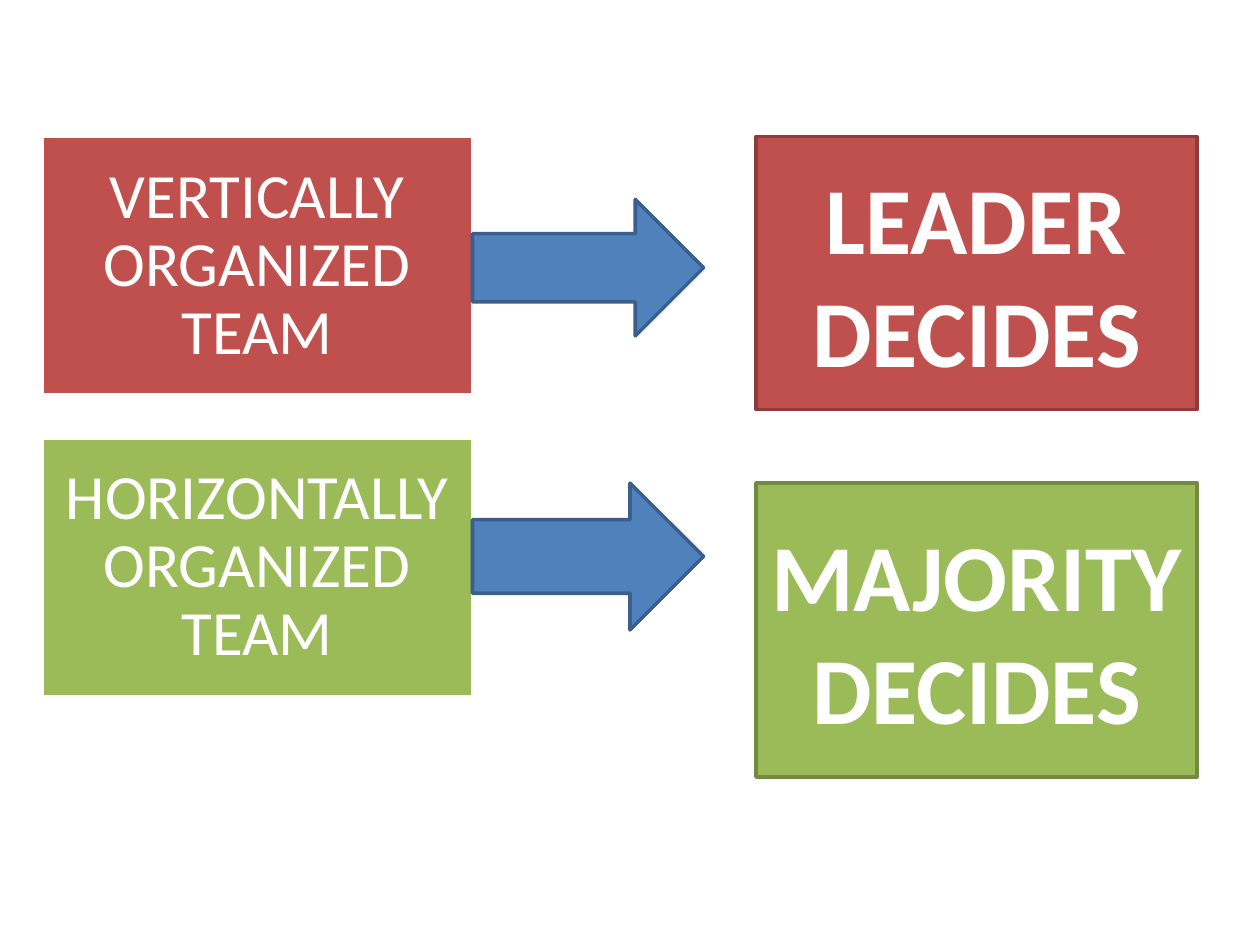
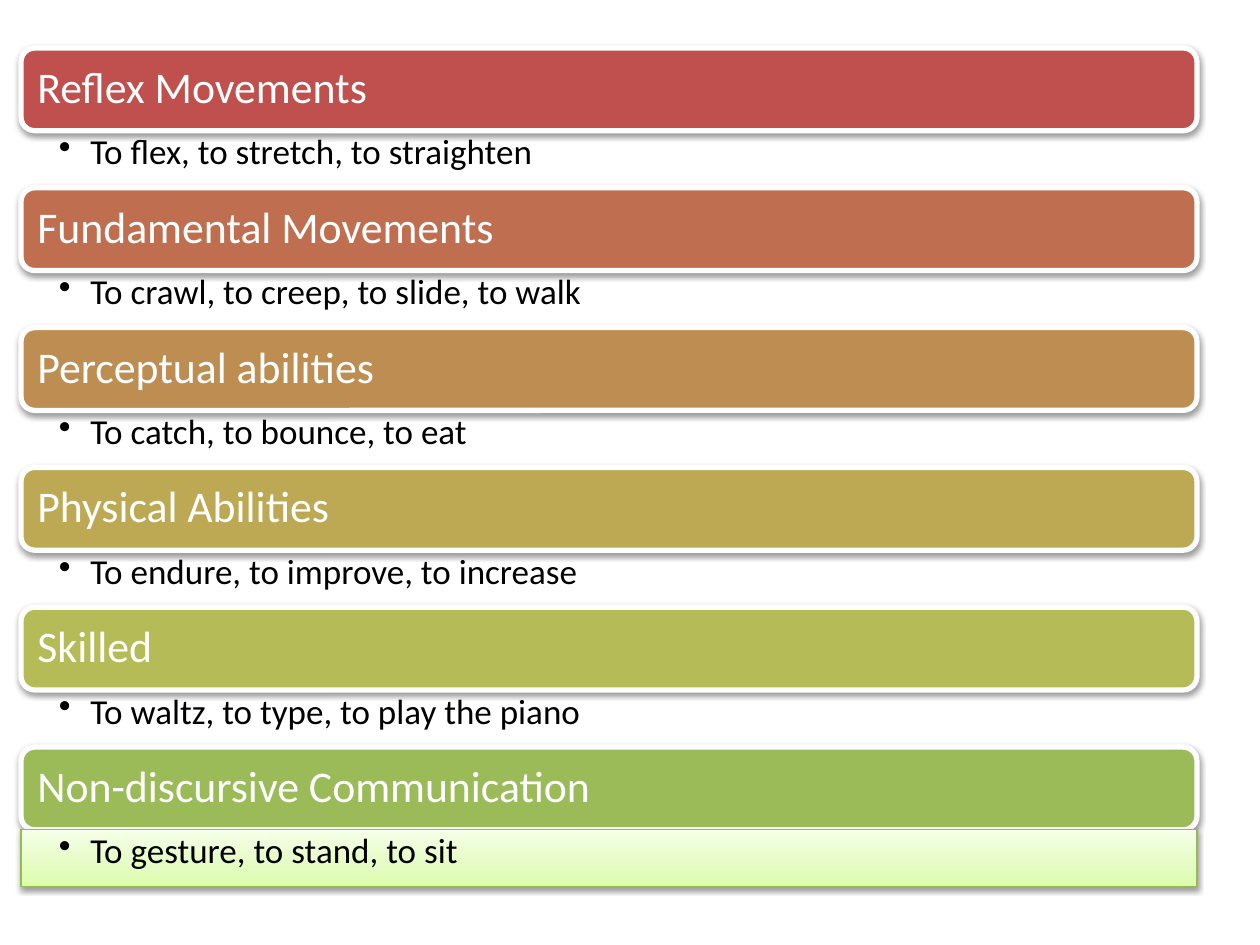
from copy import deepcopy

from lxml import etree
from pptx import Presentation
from pptx.dml.color import RGBColor
from pptx.enum.shapes import MSO_SHAPE
from pptx.enum.text import MSO_ANCHOR, PP_ALIGN
from pptx.oxml.ns import qn
from pptx.util import Pt

RECT, ROUNDED = MSO_SHAPE.RECTANGLE, MSO_SHAPE.ROUNDED_RECTANGLE
ARROW = MSO_SHAPE.RIGHT_ARROW
LEFT, CENTER = PP_ALIGN.LEFT, PP_ALIGN.CENTER
TOP, MIDDLE = MSO_ANCHOR.TOP, MSO_ANCHOR.MIDDLE

FONT = "Calibri"
WHITE = RGBColor(0xFF, 0xFF, 0xFF)
BLACK = RGBColor(0x00, 0x00, 0x00)
RED = RGBColor(0xC0, 0x50, 0x4D)
DARK_RED = RGBColor(0x8E, 0x3B, 0x39)
RUST = RGBColor(0xBF, 0x6F, 0x4F)
TAN = RGBColor(0xBE, 0x8D, 0x52)
GOLD = RGBColor(0xBD, 0xA9, 0x54)
OLIVE = RGBColor(0xB5, 0xBC, 0x57)
GREEN = RGBColor(0x9B, 0xBB, 0x59)
DARK_GREEN = RGBColor(0x73, 0x8A, 0x42)
EDGE_GREEN = RGBColor(0x98, 0xB9, 0x55)
BLUE = RGBColor(0x4F, 0x81, 0xBD)
DARK_BLUE = RGBColor(0x3A, 0x5F, 0x8C)
PALE_GREENS = [
    (0, RGBColor(0xDA, 0xFD, 0xA7)),
    (0.35, RGBColor(0xE4, 0xFC, 0xC2)),
    (1, RGBColor(0xF5, 0xFF, 0xE7)),
]

# Team box, its arrow and the decision it leads to: (top, height) in points
TEAM_ROWS = [
    ("VERTICALLY ORGANIZED TEAM", "LEADER DECIDES", RED, DARK_RED,
     (78, 147.6), (114, 78), (78, 156)),
    ("HORIZONTALLY ORGANIZED TEAM", "MAJORITY DECIDES", GREEN, DARK_GREEN,
     (250.5, 147.6), (276, 84), (276, 168)),
]

MOVEMENTS = [
    ("Reflex Movements", "To flex, to stretch, to straighten", RED),
    ("Fundamental Movements", "To crawl, to creep, to slide, to walk", RUST),
    ("Perceptual abilities", "To catch, to bounce, to eat", TAN),
    ("Physical Abilities", "To endure, to improve, to increase", GOLD),
    ("Skilled", "To waltz, to type, to play the piano", OLIVE),
    ("Non-discursive Communication", "To gesture, to stand, to sit", GREEN),
]
HEADING_HEIGHT, EXAMPLE_HEIGHT = 47.3, 32.6


def add_panel(slide, kind, box, line, line_width, fill=None):
    panel = slide.shapes.add_shape(kind, *map(Pt, box))
    panel.shadow.inherit = False
    if fill is not None:
        panel.fill.solid()
        panel.fill.fore_color.rgb = fill
    panel.line.color.rgb = line
    panel.line.width = Pt(line_width)
    return panel


def write(shape, words, size, color=WHITE, bold=False, align=CENTER,
          anchor=MIDDLE, insets=(7.2, 3.6, 7.2, 3.6), spacing=None, bullet=False):
    frame = shape.text_frame
    frame.word_wrap = True
    frame.vertical_anchor = anchor
    (frame.margin_left, frame.margin_top,
     frame.margin_right, frame.margin_bottom) = map(Pt, insets)
    paragraph = frame.paragraphs[0]
    paragraph.text = words
    if bullet:
        paragraph.level = 1
        properties = paragraph._p.get_or_add_pPr()
        properties.set("marL", str(Pt(18)))
        properties.set("indent", str(-Pt(18)))
        etree.SubElement(properties, qn("a:buChar"), char="•")
    paragraph.alignment = align
    paragraph.line_spacing = spacing
    font = paragraph.font
    font.name, font.size, font.bold = FONT, Pt(size), bold
    font.color.rgb = color


def add_soft_shadow(shape):
    effects = shape._element.spPr.find(qn("a:effectLst"))
    shadow = etree.SubElement(effects, qn("a:outerShdw"), blurRad="40000",
                              dist="20000", dir="5400000", rotWithShape="0")
    black = etree.SubElement(shadow, qn("a:srgbClr"), val="000000")
    etree.SubElement(black, qn("a:alpha"), val="38000")


def fill_pale_green(shape):
    shape.fill.gradient()
    shape.fill.gradient_angle = 90
    stops = shape._element.spPr.find(qn("a:gradFill")).find(qn("a:gsLst"))
    stops.append(deepcopy(stops[0]))
    for stop, (position, color) in zip(shape.fill.gradient_stops, PALE_GREENS):
        stop.position = position
        stop.color.rgb = color


def add_team_row(slide, left, row):
    team, decision, fill, edge, team_span, arrow_span, decision_span = row

    def box(offset, width, span):
        return left + offset, span[0], width, span[1]

    team_box = add_panel(slide, RECT, box(0, 246, team_span), WHITE, 2, fill)
    write(team_box, team, 36, insets=(10.8,) * 4, spacing=0.9)
    add_panel(slide, ARROW, box(246, 132, arrow_span), DARK_BLUE, 2, BLUE)
    decision_box = add_panel(slide, RECT, box(408, 252, decision_span), edge, 2, fill)
    write(decision_box, decision, 54, bold=True)


def add_movement(slide, left, top, width, heading, examples, fill, highlighted):
    bar = add_panel(slide, ROUNDED, (left, top, width, HEADING_HEIGHT), WHITE, 3, fill)
    add_soft_shadow(bar)
    # The rounded corners already inset the text by about 2.3 points
    write(bar, heading, 25, align=LEFT, insets=(7.2,) * 4, spacing=0.9)

    example_box = (left, top + HEADING_HEIGHT, width, EXAMPLE_HEIGHT)
    if highlighted:
        strip = add_panel(slide, RECT, example_box, EDGE_GREEN, 0.75)
        fill_pale_green(strip)
        add_soft_shadow(strip)
    else:
        strip = slide.shapes.add_textbox(*map(Pt, example_box))
    write(strip, examples, 20, color=BLACK, align=LEFT, anchor=TOP,
          insets=(21.6, 2.2, 13.7, 2.2), spacing=0.9, bullet=True)


def build_team_slide(slide):
    for row in TEAM_ROWS:
        add_team_row(slide, 24, row)


def build_movement_slide(slide):
    for index, movement in enumerate(MOVEMENTS):
        top = 27.4 + index * (HEADING_HEIGHT + EXAMPLE_HEIGHT)
        add_movement(slide, 12, top, 672, *movement,
                     highlighted=index == len(MOVEMENTS) - 1)


def main():
    deck = Presentation()
    deck.slide_width, deck.slide_height = Pt(720), Pt(540)
    blank = deck.slide_layouts[6]
    for build in (build_team_slide, build_movement_slide):
        build(deck.slides.add_slide(blank))
    deck.save("out.pptx")


if __name__ == "__main__":
    main()
